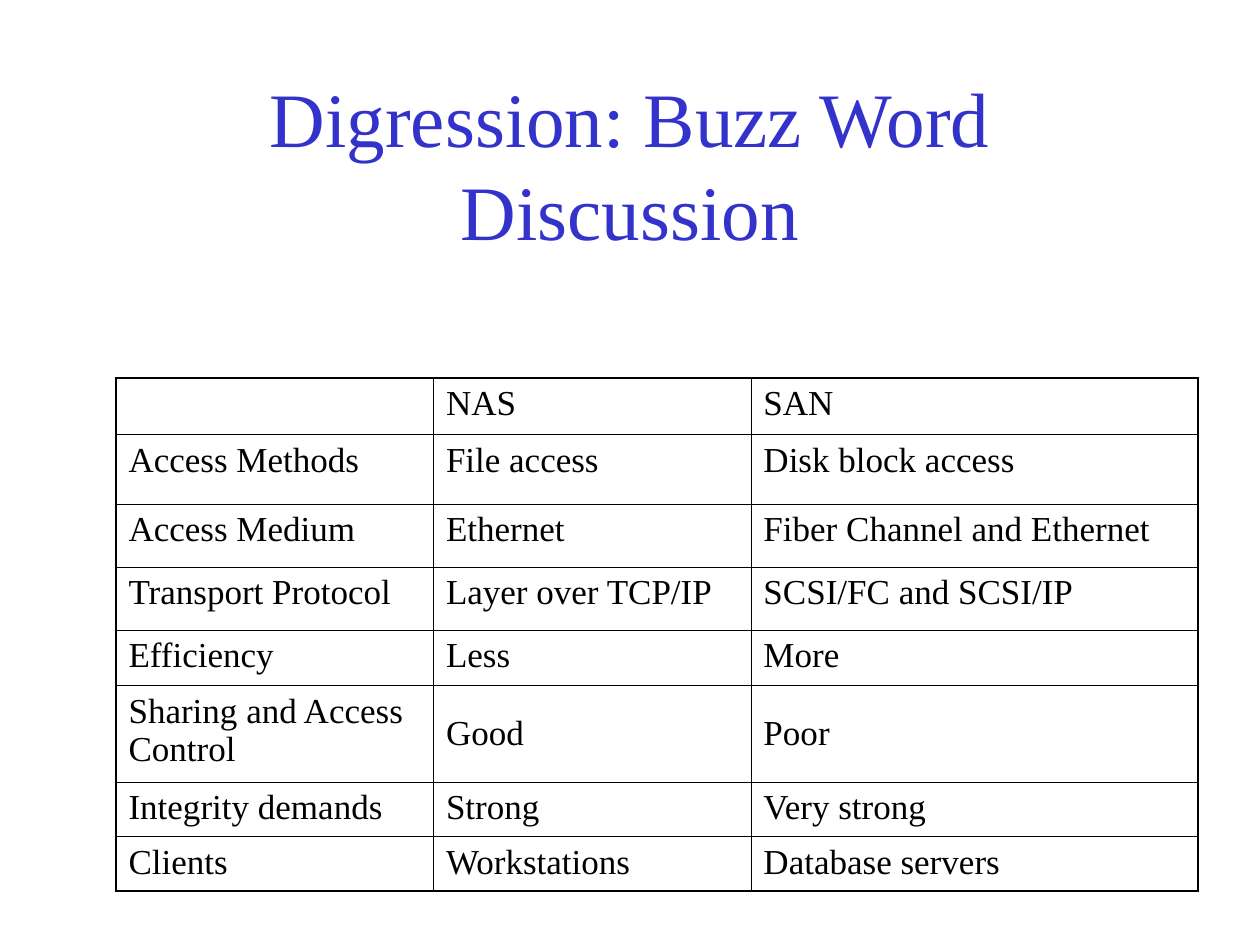
from lxml.etree import SubElement
from pptx import Presentation
from pptx.dml.color import RGBColor
from pptx.enum.text import MSO_ANCHOR as Anchor, PP_ALIGN as Align
from pptx.oxml.ns import qn
from pptx.util import Inches, Pt

FONT = "Times New Roman"
COLORS = {"title": "3333CC", "text": "000000", "line": "000000"}
THICK, THIN = Pt(1.08), Pt(0.45)
WIDTHS = [2.52, 2.52, 3.55]
HEIGHTS = [0.45, 0.55, 0.5, 0.5, 0.44, 0.77, 0.43, 0.43]
ROWS = [
    ("", "NAS", "SAN"),
    ("Access Methods", "File access", "Disk block access"),
    ("Access Medium", "Ethernet", "Fiber Channel and Ethernet"),
    ("Transport Protocol", "Layer over TCP/IP", "SCSI/FC and SCSI/IP"),
    ("Efficiency", "Less", "More"),
    ("Sharing and Access Control", "Good", "Poor"),
    ("Integrity demands", "Strong", "Very strong"),
    ("Clients", "Workstations", "Database servers"),
]


def set_font(par, size, color):
    par.font.name = FONT
    par.font.size = Pt(size)
    par.font.color.rgb = RGBColor.from_string(COLORS[color])


def add_border(cell, side, width):
    """Draw one side (L, R, T or B) of a cell."""
    line = SubElement(cell._tc.get_or_add_tcPr(), qn(f"a:ln{side}"), w=str(width))
    fill = SubElement(line, qn("a:solidFill"))
    SubElement(fill, qn("a:srgbClr"), val=COLORS["line"])


prs = Presentation()
prs.slide_width, prs.slide_height = Inches(10), Inches(7.5)
slide = prs.slides.add_slide(prs.slide_layouts[5])

title = slide.shapes.title
title.left, title.top = Inches(0.75), Inches(0.67)
title.width, title.height = Inches(8.5), Inches(1.25)
frame = title.text_frame
frame.text = "Digression: Buzz Word Discussion"
frame.word_wrap = True
frame.vertical_anchor = Anchor.MIDDLE
frame.paragraphs[0].alignment = Align.CENTER
set_font(frame.paragraphs[0], 44, "title")

table = slide.shapes.add_table(
    len(ROWS), len(WIDTHS), Inches(0.92), Inches(3),
    Inches(sum(WIDTHS)), Inches(sum(HEIGHTS))).table
table.first_row = table.horz_banding = False
for col, width in zip(table.columns, WIDTHS):
    col.width = Inches(width)
for row, height in zip(table.rows, HEIGHTS):
    row.height = Inches(height)

last_row, last_col = len(ROWS) - 1, len(WIDTHS) - 1
for r, row in enumerate(ROWS):
    for c, text in enumerate(row):
        cell = table.cell(r, c)
        cell.text = text
        set_font(cell.text_frame.paragraphs[0], 20, "text")
        if row[0].startswith("Sharing") and c > 0:
            cell.vertical_anchor = Anchor.MIDDLE
        outer = {"L": c == 0, "R": c == last_col, "T": r == 0, "B": r == last_row}
        for side, edge in outer.items():
            add_border(cell, side, THICK if edge else THIN)
        cell.fill.background()

prs.save("out.pptx")
